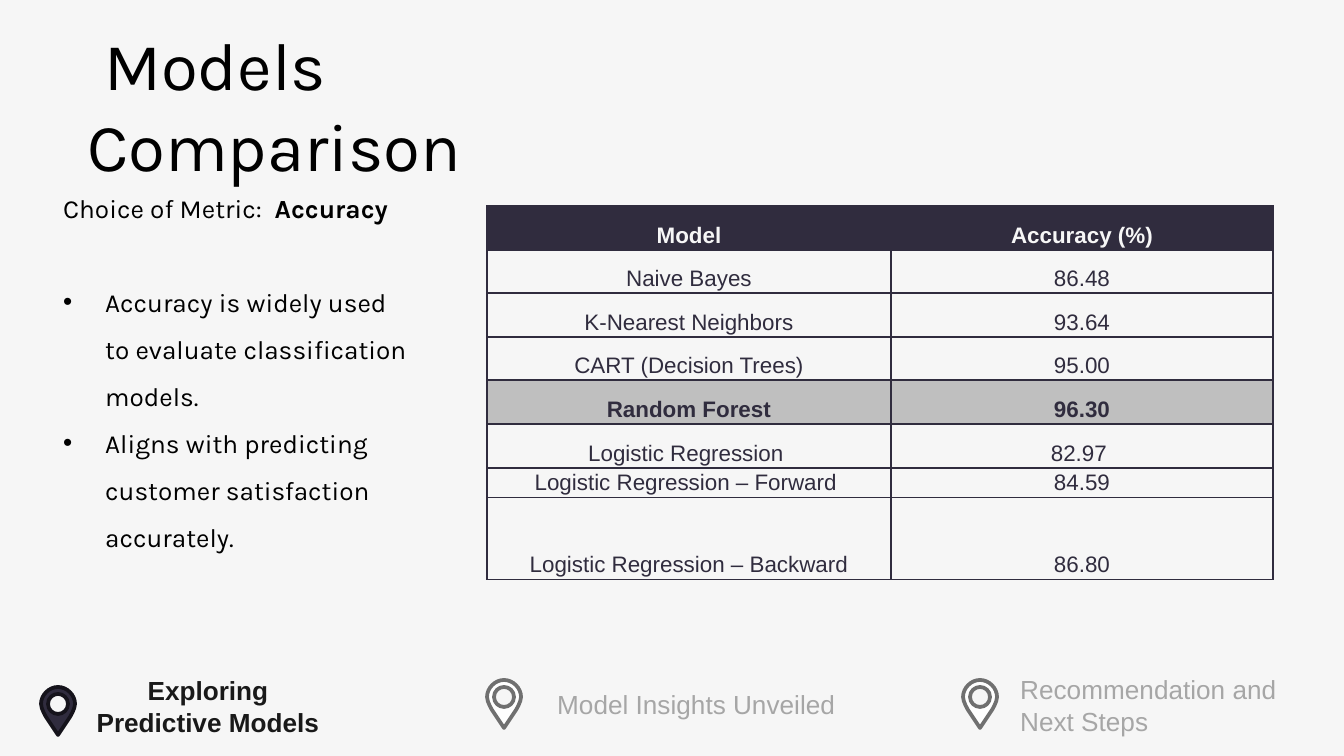
"""Build the models comparison slide with its accuracy table and section markers."""
from lxml import etree
from pptx import Presentation
from pptx.dml.color import RGBColor
from pptx.enum.text import MSO_ANCHOR, MSO_AUTO_SIZE, PP_ALIGN
from pptx.oxml.ns import qn
from pptx.util import Pt

SCALE = 914400 / 134.4
LEFT, CENTER = PP_ALIGN.LEFT, PP_ALIGN.CENTER
BOTTOM = MSO_ANCHOR.BOTTOM
GROW = MSO_AUTO_SIZE.SHAPE_TO_FIT_TEXT
COLORS = {
    "background": "F6F6F6", "black": "000000", "plum": "302C3E",
    "plum_edge": "15131B", "white": "FFFFFF", "gray": "707070",
    "muted": "A6A6A6", "active": "191919", "highlight": "BFBFBF",
}


def px(length):
    return round(length * SCALE)


def add_run(paragraph, text, color, **font_format):
    run = paragraph.add_run()
    run.text = text
    for name, value in font_format.items():
        setattr(run.font, name, value)
    run.font.color.rgb = RGBColor.from_string(COLORS[color])


deck = Presentation()
deck.slide_width, deck.slide_height = px(1344), px(756)
slide = deck.slides.add_slide(deck.slide_layouts[6])
slide.background.fill.solid()
slide.background.fill.fore_color.rgb = RGBColor.from_string(COLORS["background"])

hole_half = [(0, 7), (5, 7), (10, 11), (10, 17), (10, 23), (5, 27), (0, 27)]
head_half = [(0, 0), (9, 0), (17, 8), (17, 17), (17, 22), (12, 30), (12, 30), (0, 48)]
hole, head = [
    half + [(-x, y) for x, y in reversed(half[:-1])] for half in (hole_half, head_half)
]
curve_starts = [0, 3, 6, 9, 12, 15, 20, 23]
pins = [
    (58, 687, "plum", "plum_edge"),
    (504, 680, "white", "gray"),
    (980, 680, "white", "gray"),
]
for center, top, fill, edge in pins:
    hole_points, head_points = [
        [(px(center + x), px(top + y)) for x, y in contour] for contour in (hole, head)
    ]
    builder = slide.shapes.build_freeform(*hole_points[0])
    builder.add_line_segments(hole_points[1:])
    builder.move_to(*head_points[0])
    builder.add_line_segments(head_points[1:])
    pin = builder.convert_to_shape()
    segments = list(pin._element.iter(qn("a:lnTo")))
    for start in curve_starts:
        curve = etree.Element(qn("a:cubicBezTo"))
        segments[start].addprevious(curve)
        for segment in segments[start:start + 3]:
            curve.append(segment[0])
            segment.getparent().remove(segment)
    pin.shadow.inherit = False
    pin.fill.solid()
    pin.fill.fore_color.rgb = RGBColor.from_string(COLORS[fill])
    pin.line.color.rgb = RGBColor.from_string(COLORS[edge])
    pin.line.width = Pt(2)

karla = {"name": "Karla", "size": Pt(14)}
arial = {"name": "Arial", "size": Pt(14)}
texts = [
    ((1007, 667, 296, 77), "Recommendation and Next Steps", "muted", LEFT, arial),
    ((74, 17, 642, 95), "Models Comparison", "black", LEFT, {"name": "Karla", "size": Pt(36)}),
    ((50, 170, 374, 405), "Choice of Metric:  ", "black", LEFT, karla),
    ((77, 668, 262, 77), "Exploring Predictive Models", "active", CENTER, {**arial, "bold": True}),
    ((544, 682, 309, 46), "Model Insights Unveiled", "muted", LEFT, arial),
]
frames = []
for bounds, text, color, alignment, font_format in texts:
    frame = slide.shapes.add_textbox(*map(px, bounds)).text_frame
    frame.word_wrap = True
    frame.auto_size = GROW
    frame.paragraphs[0].alignment = alignment
    add_run(frame.paragraphs[0], text, color, **font_format)
    frames.append(frame)

title, metric = frames[1:3]
title.paragraphs[0]._p.get_or_add_pPr().set("indent", str(px(17)))
metric.paragraphs[0].line_spacing = 1.5
add_run(metric.paragraphs[0], "Accuracy", "black", **karla, bold=True)

reasons = [
    ("Accuracy is widely used to evaluate classification models.", 25),
    ("Aligns with predicting customer satisfaction accurately.", 0),
]
for reason, gap in reasons:
    paragraph = metric.add_paragraph()
    paragraph.line_spacing = 1.5
    paragraph.space_before = Pt(gap)
    properties = paragraph._p.get_or_add_pPr()
    properties.set("marL", str(px(42)))
    properties.set("indent", str(px(-42)))
    etree.SubElement(properties, qn("a:buFont")).set("typeface", "Arial")
    etree.SubElement(properties, qn("a:buChar")).set("char", "•")
    add_run(paragraph, reason, "black", **karla)

results = [
    ("Model", "Accuracy (%)"),
    ("Naive Bayes", "86.48"),
    ("K-Nearest Neighbors", "93.64"),
    ("CART (Decision Trees)", "95.00"),
    ("Random Forest", "96.30"),
    ("Logistic Regression ", "82.97 "),
    ("Logistic Regression – Forward ", "84.59"),
    ("Logistic Regression – Backward", "86.80"),
]
row_heights = [44, 43, 44, 43, 44, 44, 29, 82]
column_widths = [404, 382]
row_fills = {0: "plum", 4: "highlight"}
cell_format = {
    "vertical_anchor": BOTTOM, "margin_left": px(1), "margin_right": px(1),
    "margin_top": px(1), "margin_bottom": px(2),
}
table = slide.shapes.add_table(
    len(results), len(column_widths), px(487), px(206),
    px(sum(column_widths)), px(sum(row_heights)),
).table
table.first_row = table.horz_banding = False
for column, width in zip(table.columns, column_widths):
    column.width = px(width)

for index, (row, height, values) in enumerate(zip(table.rows, row_heights, results)):
    row.height = px(height)
    for cell, value in zip(row.cells, values):
        for name, setting in cell_format.items():
            setattr(cell, name, setting)
        for side in ("a:lnL", "a:lnR", "a:lnT", "a:lnB"):
            border = etree.SubElement(cell._tc.get_or_add_tcPr(), qn(side), w=str(Pt(1)))
            border_fill = etree.SubElement(border, qn("a:solidFill"))
            etree.SubElement(border_fill, qn("a:srgbClr"), val=COLORS["plum"])
        if index in row_fills:
            cell.fill.solid()
            cell.fill.fore_color.rgb = RGBColor.from_string(COLORS[row_fills[index]])
        else:
            cell.fill.background()
        paragraph = cell.text_frame.paragraphs[0]
        paragraph.alignment = CENTER
        add_run(paragraph, value, "plum" if index else "background",
                name="Arial", size=Pt(12), bold=index in row_fills)

deck.save("out.pptx")
